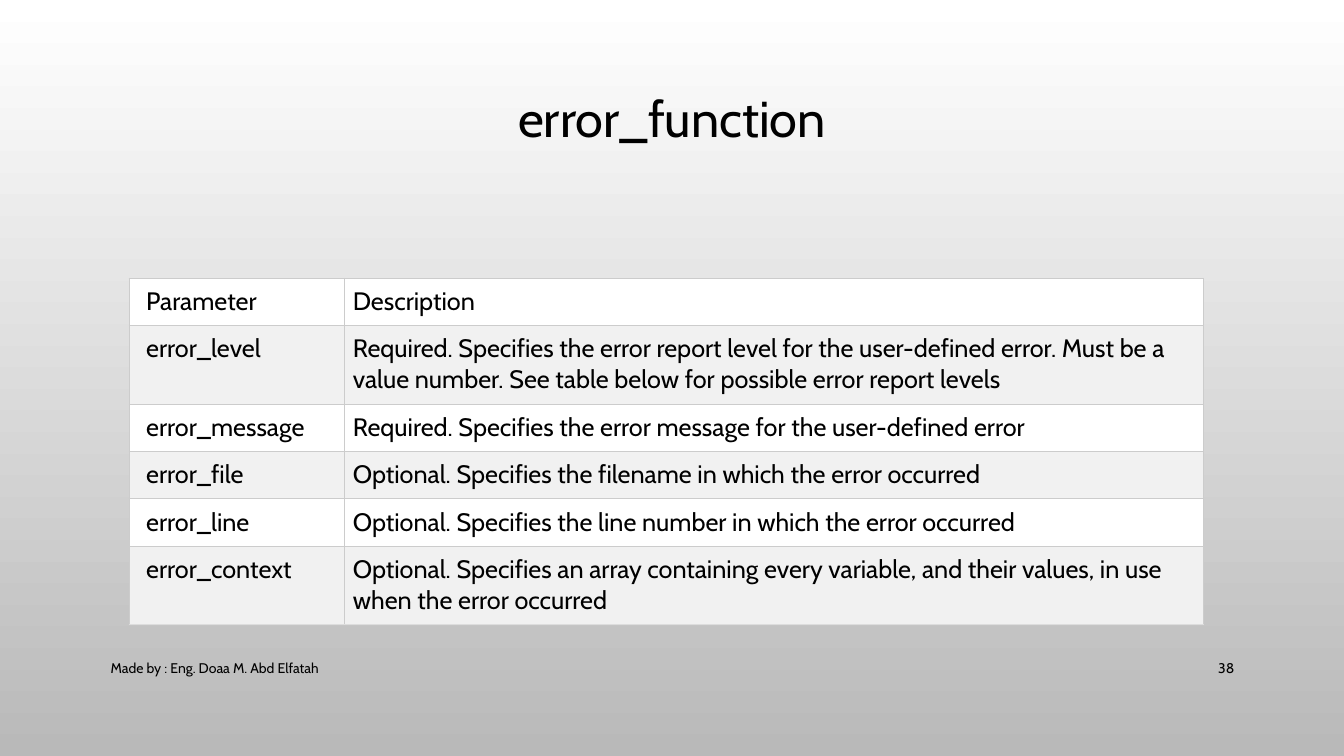
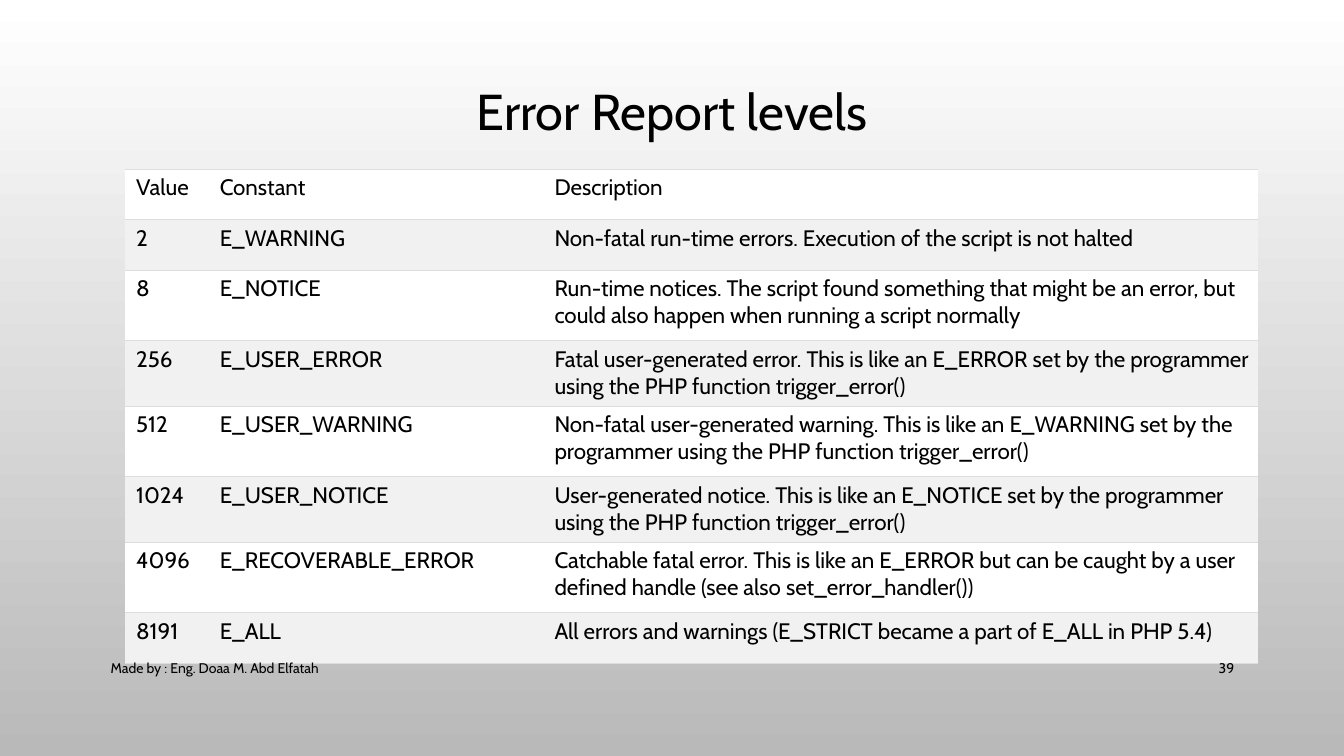
from dataclasses import dataclass
from typing import Optional

from lxml import etree
from pptx import Presentation
from pptx.dml.color import RGBColor
from pptx.enum.text import MSO_ANCHOR, PP_ALIGN
from pptx.oxml.ns import qn
from pptx.slide import Slide
from pptx.table import _Cell
from pptx.text.text import _Paragraph
from pptx.util import Inches, Pt

MIDDLE = MSO_ANCHOR.MIDDLE
LEFT, CENTER, RIGHT = PP_ALIGN.LEFT, PP_ALIGN.CENTER, PP_ALIGN.RIGHT

FONT = "Cabin"
BLACK = RGBColor(0x00, 0x00, 0x00)
WHITE = RGBColor(0xFF, 0xFF, 0xFF)
BAND = RGBColor(0xF1, 0xF1, 0xF1)
BACKGROUND_END = RGBColor(0xB9, 0xB9, 0xB9)
GRID = RGBColor(0xCC, 0xCC, 0xCC)
RULE = RGBColor(0xDD, 0xDD, 0xDD)

AUTHOR = "Made by : Eng. Doaa M. Abd Elfatah"


@dataclass(frozen=True)
class TableSpec:
    left: float
    top: float
    widths: tuple[float, ...]
    heights: tuple[float, ...]
    rows: tuple[tuple[str, ...], ...]
    size: int
    margin: float
    first_margin: float
    side_line: Optional[RGBColor]
    row_line: RGBColor
    last_line: RGBColor


@dataclass(frozen=True)
class PageSpec:
    title: str
    title_height: float
    number: int
    table: TableSpec


PARAMETERS = TableSpec(
    left=1.28,
    top=2.76,
    widths=(2.14, 8.52),
    heights=(0.47, 0.78, 0.47, 0.47, 0.47, 0.78),
    rows=(
        ("Parameter", "Description"),
        ("error_level", "Required. Specifies the error report level for the user-defined error. "
                        "Must be a value number. See table below for possible error report levels"),
        ("error_message", "Required. Specifies the error message for the user-defined error"),
        ("error_file", "Optional. Specifies the filename in which the error occurred"),
        ("error_line", "Optional. Specifies the line number in which the error occurred"),
        ("error_context", "Optional. Specifies an array containing every variable, and their "
                          "values, in use when the error occurred"),
    ),
    size=18,
    margin=0.08,
    first_margin=0.17,
    side_line=GRID,
    row_line=GRID,
    last_line=RULE,
)

LEVELS = TableSpec(
    left=1.24,
    top=1.68,
    widths=(0.89, 3.32, 7.03),
    heights=(0.5, 0.5, 0.7, 0.65, 0.7, 0.65, 0.7, 0.5),
    rows=(
        ("Value", "Constant", "Description"),
        ("2", "E_WARNING", "Non-fatal run-time errors. Execution of the script is not halted"),
        ("8", "E_NOTICE", "Run-time notices. The script found something that might be an error, "
                          "but could also happen when running a script normally"),
        ("256", "E_USER_ERROR", "Fatal user-generated error. This is like an E_ERROR set by the "
                                "programmer using the PHP function trigger_error()"),
        ("512", "E_USER_WARNING", "Non-fatal user-generated warning. This is like an E_WARNING set "
                                  "by the programmer using the PHP function trigger_error()"),
        ("1024", "E_USER_NOTICE", "User-generated notice. This is like an E_NOTICE set by the "
                                  "programmer using the PHP function trigger_error()"),
        ("4096", "E_RECOVERABLE_ERROR", "Catchable fatal error. This is like an E_ERROR but can be "
                                        "caught by a user defined handle (see also set_error_handler())"),
        ("8191", "E_ALL", "All errors and warnings (E_STRICT became a part of E_ALL in PHP 5.4)"),
    ),
    size=16,
    margin=0.05,
    first_margin=0.11,
    side_line=None,
    row_line=RULE,
    last_line=RULE,
)

PAGES = (
    PageSpec("error_function", 1.05, 38, PARAMETERS),
    PageSpec("Error Report levels", 0.9, 39, LEVELS),
)


def write(para: _Paragraph, text: str, size: int) -> None:
    para.text = text
    para.font.name = FONT
    para.font.size = Pt(size)
    para.font.color.rgb = BLACK


def add_text(page: Slide, text: str, left: float, top: float, width: float, height: float,
             size: int, align: PP_ALIGN, spacing: float = 1.0) -> None:
    box = page.shapes.add_textbox(Inches(left), Inches(top), Inches(width), Inches(height))
    frame = box.text_frame
    frame.word_wrap = True
    frame.vertical_anchor = MIDDLE
    para = frame.paragraphs[0]
    para.alignment = align
    para.line_spacing = spacing
    write(para, text, size)


def add_border(cell: _Cell, side: str, color: Optional[RGBColor]) -> None:
    properties = cell._tc.get_or_add_tcPr()
    line = etree.SubElement(properties, qn(f"a:ln{side}"), w=str(Pt(0.75)))
    if color is None:
        etree.SubElement(line, qn("a:noFill"))
    else:
        fill = etree.SubElement(line, qn("a:solidFill"))
        etree.SubElement(fill, qn("a:srgbClr"), val=str(color))


def add_table(page: Slide, spec: TableSpec) -> None:
    frame = page.shapes.add_table(
        len(spec.rows), len(spec.widths), Inches(spec.left), Inches(spec.top),
        Inches(sum(spec.widths)), Inches(sum(spec.heights)))
    table = frame.table
    table.first_row = False
    table.horz_banding = False
    for column, width in zip(table.columns, spec.widths):
        column.width = Inches(width)
    for row, height in zip(table.rows, spec.heights):
        row.height = Inches(height)
    last_row = len(spec.rows) - 1
    for row_index, texts in enumerate(spec.rows):
        bottom_line = spec.last_line if row_index == last_row else spec.row_line
        borders = {"L": spec.side_line, "R": spec.side_line, "T": spec.row_line, "B": bottom_line}
        for column_index, text in enumerate(texts):
            cell = table.cell(row_index, column_index)
            cell.margin_left = Inches(spec.margin if column_index else spec.first_margin)
            cell.margin_right = cell.margin_top = cell.margin_bottom = Inches(spec.margin)
            for side, color in borders.items():
                add_border(cell, side, color)
            cell.fill.solid()
            cell.fill.fore_color.rgb = BAND if row_index % 2 else WHITE
            write(cell.text_frame.paragraphs[0], text, spec.size)


def set_background(deck: Presentation) -> None:
    fill = deck.slide_master.background.fill
    fill.gradient()
    fill.gradient_angle = 270
    for stop, color in zip(fill.gradient_stops, (WHITE, BACKGROUND_END)):
        stop.color.rgb = color


def add_page(deck: Presentation, spec: PageSpec) -> None:
    page = deck.slides.add_slide(deck.slide_layouts[6])
    add_text(page, spec.title, 1, 0.68, 11.33, spec.title_height, 36, CENTER, 0.9)
    add_table(page, spec.table)
    add_text(page, AUTHOR, 1, 6.43, 7.3, 0.4, 10, LEFT)
    add_text(page, str(spec.number), 11.5, 6.43, 0.84, 0.4, 10, RIGHT)


def main() -> None:
    deck = Presentation()
    deck.slide_width = Inches(13.33)
    deck.slide_height = Inches(7.5)
    set_background(deck)
    for spec in PAGES:
        add_page(deck, spec)
    deck.save("out.pptx")


main()
